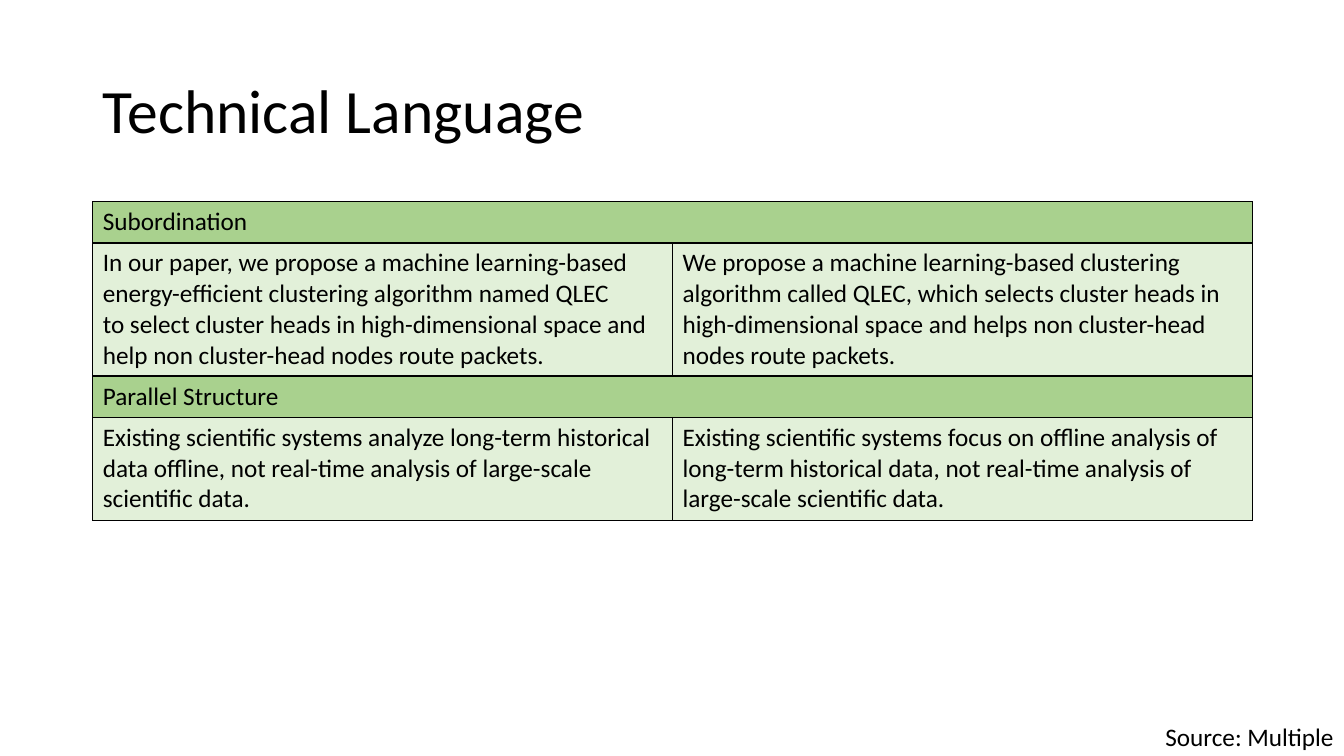
from lxml import etree
from pptx import Presentation
from pptx import util as u
from pptx.dml.color import RGBColor
from pptx.enum import text
from pptx.oxml import ns

HEADING = "Technical Language"
SOURCE = "Source: Multiple"
SECTIONS = [
    (
        "Subordination",
        "In our paper, we propose a machine learning-based energy-efficient clustering algorithm named QLEC\n"
        "to select cluster heads in high-dimensional space and help non cluster-head nodes route packets.",
        "We propose a machine learning-based clustering algorithm called QLEC, which selects cluster heads in "
        "high-dimensional space and helps non cluster-head nodes route packets.",
    ),
    (
        "Parallel Structure",
        "Existing scientific systems analyze long-term historical data offline, not real-time analysis of "
        "large-scale scientific data.",
        "Existing scientific systems focus on offline analysis of long-term historical data, not real-time "
        "analysis of large-scale scientific data.",
    ),
]
COLORS = {"text": "000000", "border": "000000", "band": "A9D18E", "example": "E2F0D9"}
FONT = "Calibri"
PX = 9144
SLIDE = (1333, 750)
TITLE_BOX = (92, 40, 1150, 145)
TABLE_BOX = (92, 200, 1150, 316)
SOURCE_BOX = (1146, 711, 188, 40)
BAND_HEIGHT = 41
EXAMPLE_HEIGHTS = (132, 102)


def emu(box):
    return [length * PX for length in box]


def style(frame, size):
    for paragraph in frame.paragraphs:
        paragraph.alignment = text.PP_ALIGN.LEFT
        for run in paragraph.runs:
            run.font.name = FONT
            run.font.size = u.Pt(size)
            run.font.bold = False
            run.font.color.rgb = RGBColor.from_string(COLORS["text"])


def add_borders(cell):
    properties = cell._tc.get_or_add_tcPr()
    for position, side in enumerate(("lnL", "lnR", "lnT", "lnB")):
        line = etree.Element(ns.qn(f"a:{side}"), w=str(u.Pt(1)))
        solid = etree.SubElement(line, ns.qn("a:solidFill"))
        etree.SubElement(solid, ns.qn("a:srgbClr"), val=COLORS["border"])
        properties.insert(position, line)


def format_cell(cell, words, color):
    cell.text_frame.text = words
    style(cell.text_frame, 18)
    cell.fill.solid()
    cell.fill.fore_color.rgb = RGBColor.from_string(COLORS[color])


def main():
    deck = Presentation()
    deck.slide_width, deck.slide_height = emu(SLIDE)
    slide = deck.slides.add_slide(deck.slide_layouts[5])

    heading = slide.shapes.title
    heading.left, heading.top, heading.width, heading.height = emu(TITLE_BOX)
    heading.text_frame.text = HEADING
    heading.text_frame.vertical_anchor = text.MSO_ANCHOR.MIDDLE
    heading.text_frame.paragraphs[0].line_spacing = 0.9
    style(heading.text_frame, 44)

    examples = slide.shapes.add_table(2 * len(SECTIONS), 2, *emu(TABLE_BOX)).table
    for index, (topic, before, after) in enumerate(SECTIONS):
        band, row = 2 * index, 2 * index + 1
        examples.rows[band].height = BAND_HEIGHT * PX
        examples.rows[row].height = EXAMPLE_HEIGHTS[index] * PX
        examples.cell(band, 0).merge(examples.cell(band, 1))
        format_cell(examples.cell(band, 0), topic, "band")
        for column, words in enumerate((before, after)):
            format_cell(examples.cell(row, column), words, "example")
    for cell in examples.iter_cells():
        add_borders(cell)

    source = slide.shapes.add_textbox(*emu(SOURCE_BOX)).text_frame
    source.text = SOURCE
    source.word_wrap = False
    source.auto_size = text.MSO_AUTO_SIZE.SHAPE_TO_FIT_TEXT
    style(source, 18)

    deck.save("out.pptx")


if __name__ == "__main__":
    main()
